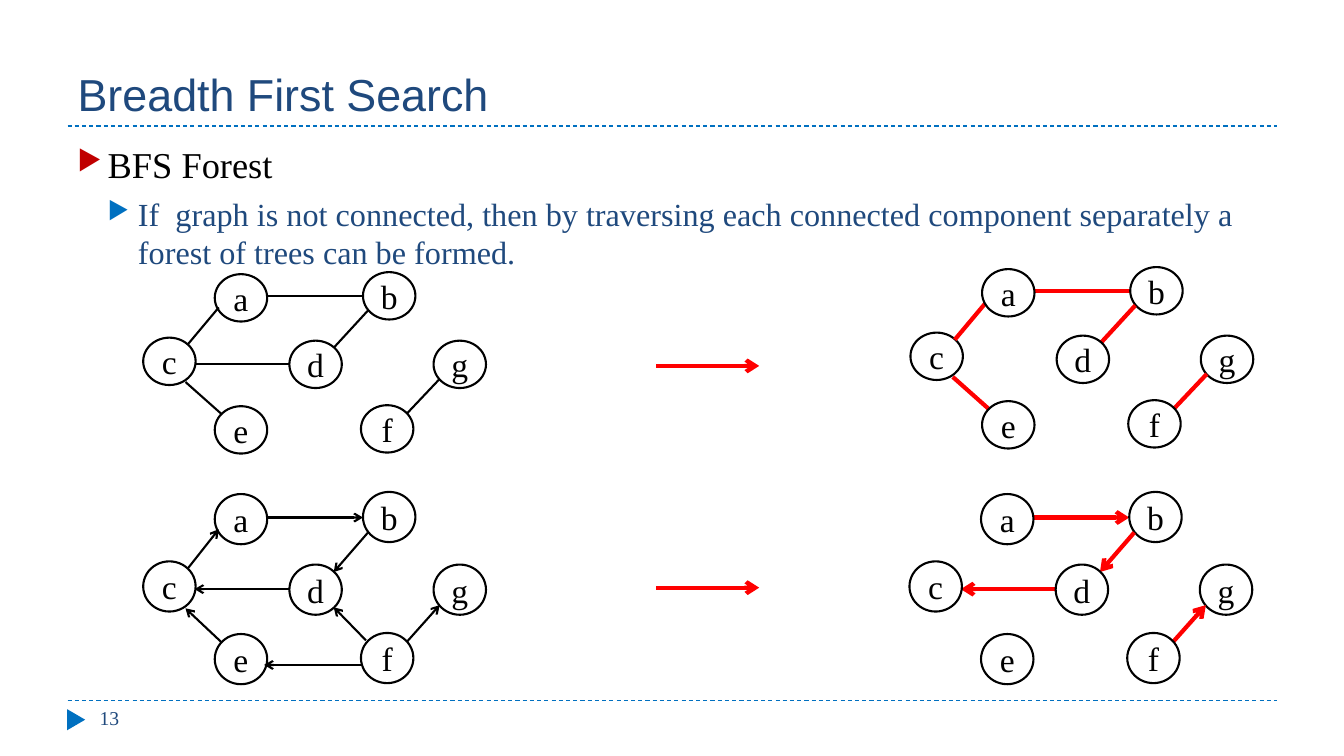
from dataclasses import dataclass

from lxml import etree
from pptx import Presentation
from pptx import util as u
from pptx.dml.color import RGBColor
from pptx.enum import dml, shapes, text
from pptx.oxml import ns

BLACK = RGBColor(0x00, 0x00, 0x00)
WHITE = RGBColor(0xFF, 0xFF, 0xFF)
RED = RGBColor(0xFF, 0x00, 0x00)
DARK_RED = RGBColor(0xC0, 0x00, 0x00)
BLUE = RGBColor(0x00, 0x70, 0xC0)
NAVY = RGBColor(0x1F, 0x49, 0x7D)
SERIF = "Times New Roman"

NODE_W, NODE_H = 0.52, 0.47
DIGRAPH_STRETCH = 1.06

# Node corners and edge ends, relative to the top left of a graph
NODES = {
    "a": (0.71, 0.02), "b": (2.18, 0), "c": (0, 0.65), "d": (1.45, 0.68),
    "e": (0.71, 1.33), "f": (2.16, 1.32), "g": (2.88, 0.68),
}
EDGES = {
    "ab": (1.2, 0.24, 2.18, 0.24), "bd": (2.23, 0.38, 1.89, 0.75),
    "dc": (1.49, 0.91, 0.51, 0.91), "ec": (0.87, 1.49, 0.42, 1.09),
    "fg": (2.59, 1.43, 2.94, 1.06), "ca": (0.44, 0.72, 0.75, 0.35),
    "fe": (2.18, 1.62, 1.2, 1.62), "fd": (2.21, 1.39, 1.89, 1.08),
}


@dataclass
class Graph:
    left: float
    top: float
    order: str  # nodes and edges, from back to front
    color: RGBColor = BLACK
    weight: float = 1.5
    directed: bool = False

    @property
    def stretch(self) -> float:
        return DIGRAPH_STRETCH if self.directed else 1


GRAPHS = [
    Graph(1.42, 2.7, "ab b a bd dc d c ec g fg f e ca"),
    Graph(1.42, 4.88, "ab b a bd dc d c ec g fg f e ca fe fd",
          directed=True),
    Graph(9.02, 4.88, "ab b a bd dc d c g fg f e", RED, 3, directed=True),
    Graph(9.03, 2.65, "ab b bd d c ec g fg f e ca a", RED, 3),
]


def sub(parent, tag: str, **attrs: str):
    return etree.SubElement(parent, ns.qn(tag), attrs)


def write(p, words: str, *, size: float, color: RGBColor, font: str = SERIF,
          align=text.PP_ALIGN.LEFT, before: float = 0) -> None:
    p.alignment = align
    p.space_before = u.Pt(before)
    r = p.add_run()
    r.text = words
    r.font.size = u.Pt(size)
    r.font.name = font
    r.font.color.rgb = color


def add_bullet(p, level: int, color: RGBColor) -> None:
    p.level = level
    pPr = p._p.get_or_add_pPr()
    pPr.set("marL", str(u.Inches(0.3 * (level + 1))))
    pPr.set("indent", str(u.Inches(-0.3)))
    sub(sub(pPr, "a:buClr"), "a:srgbClr", val=str(color))
    sub(pPr, "a:buSzPct", val="76000")
    sub(pPr, "a:buChar", char="▶")


def add_text_box(s, left: float, top: float, width: float, height: float):
    tf = s.shapes.add_textbox(u.Inches(left), u.Inches(top),
                              u.Inches(width), u.Inches(height)).text_frame
    tf.word_wrap = True
    return tf


def add_line(s, x1: float, y1: float, x2: float, y2: float, *,
             color: RGBColor, weight: float, arrow: bool = False,
             dashed: bool = False) -> None:
    line = s.shapes.add_connector(
        shapes.MSO_CONNECTOR.STRAIGHT, u.Inches(x1), u.Inches(y1),
        u.Inches(x2), u.Inches(y2))
    line.line.color.rgb = color
    line.line.width = u.Pt(weight)
    if dashed:
        line.line.dash_style = dml.MSO_LINE.DASH
    spPr = line._element.spPr
    if arrow:
        sub(spPr.find(ns.qn("a:ln")), "a:tailEnd", type="arrow")
    sub(spPr, "a:effectLst")


def add_node(s, name: str, left: float, top: float, height: float) -> None:
    sp = s.shapes.add_shape(
        shapes.MSO_SHAPE.OVAL, u.Inches(left), u.Inches(top),
        u.Inches(NODE_W), u.Inches(height))
    sp.shadow.inherit = False
    sp.fill.solid()
    sp.fill.fore_color.rgb = WHITE
    sp.line.color.rgb = BLACK
    sp.line.width = u.Pt(1.5)
    tf = sp.text_frame
    tf.word_wrap = False
    tf.vertical_anchor = text.MSO_ANCHOR.MIDDLE
    write(tf.paragraphs[0], name, size=24, color=BLACK,
          align=text.PP_ALIGN.CENTER)


def add_graph(s, graph: Graph) -> None:
    group = s.shapes.add_group_shape()
    for key in graph.order.split():
        if key in NODES:
            x, y = NODES[key]
            add_node(group, key, graph.left + x,
                     graph.top + y * graph.stretch, NODE_H * graph.stretch)
        else:
            x1, y1, x2, y2 = EDGES[key]
            add_line(group, graph.left + x1, graph.top + y1 * graph.stretch,
                     graph.left + x2, graph.top + y2 * graph.stretch,
                     color=graph.color, weight=graph.weight,
                     arrow=graph.directed)


def main() -> None:
    prs = Presentation()
    prs.slide_width, prs.slide_height = u.Inches(13.33), u.Inches(7.5)
    s = prs.slides.add_slide(prs.slide_layouts[5])

    # Rules and page marker
    for y in (6.95, 1.25):
        add_line(s, 0.67, y, 12.67, y, color=BLUE, weight=0.75, dashed=True)
    marker = s.shapes.add_shape(
        shapes.MSO_SHAPE.ISOSCELES_TRIANGLE, u.Inches(0.65), u.Inches(7.05),
        u.Inches(0.21), u.Inches(0.18))
    marker.rotation = 90
    marker.shadow.inherit = False
    marker.fill.solid()
    marker.fill.fore_color.rgb = BLUE
    marker.line.fill.background()
    write(add_text_box(s, 0.89, 6.95, 2.89, 0.4).paragraphs[0], "13",
          size=14, color=NAVY)

    # Title
    title = s.shapes.title
    title.left, title.top = u.Inches(0.67), u.Inches(0.17)
    title.width, title.height = u.Inches(12), u.Inches(1.08)
    title.text_frame.vertical_anchor = text.MSO_ANCHOR.BOTTOM
    write(title.text_frame.paragraphs[0], "Breadth First Search",
          size=32, color=NAVY, font="Arial")

    # Bullets
    tf = add_text_box(s, 0.67, 1.36, 12, 1.35)
    p = tf.paragraphs[0]
    add_bullet(p, 0, DARK_RED)
    write(p, "BFS Forest", size=26, color=BLACK)
    p = tf.add_paragraph()
    add_bullet(p, 1, BLUE)
    write(p, "If  graph is not connected, then by traversing each connected "
          "component separately a forest of trees can be formed.",
          size=23, color=NAVY, before=6)

    # Graphs and their forests
    for graph in GRAPHS:
        add_graph(s, graph)
    for y in (3.63, 5.83):
        add_line(s, 6.51, y, 7.53, y, color=RED, weight=3, arrow=True)

    prs.save("out.pptx")


if __name__ == "__main__":
    main()
